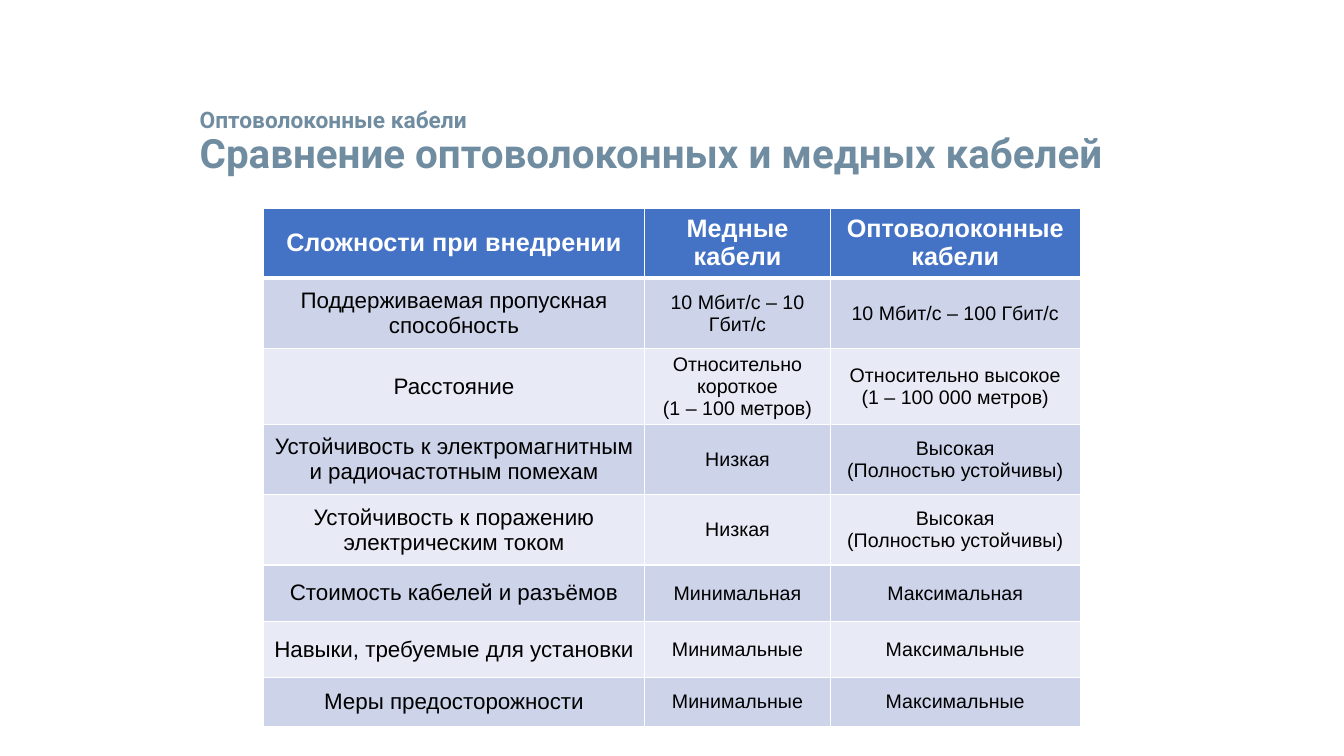
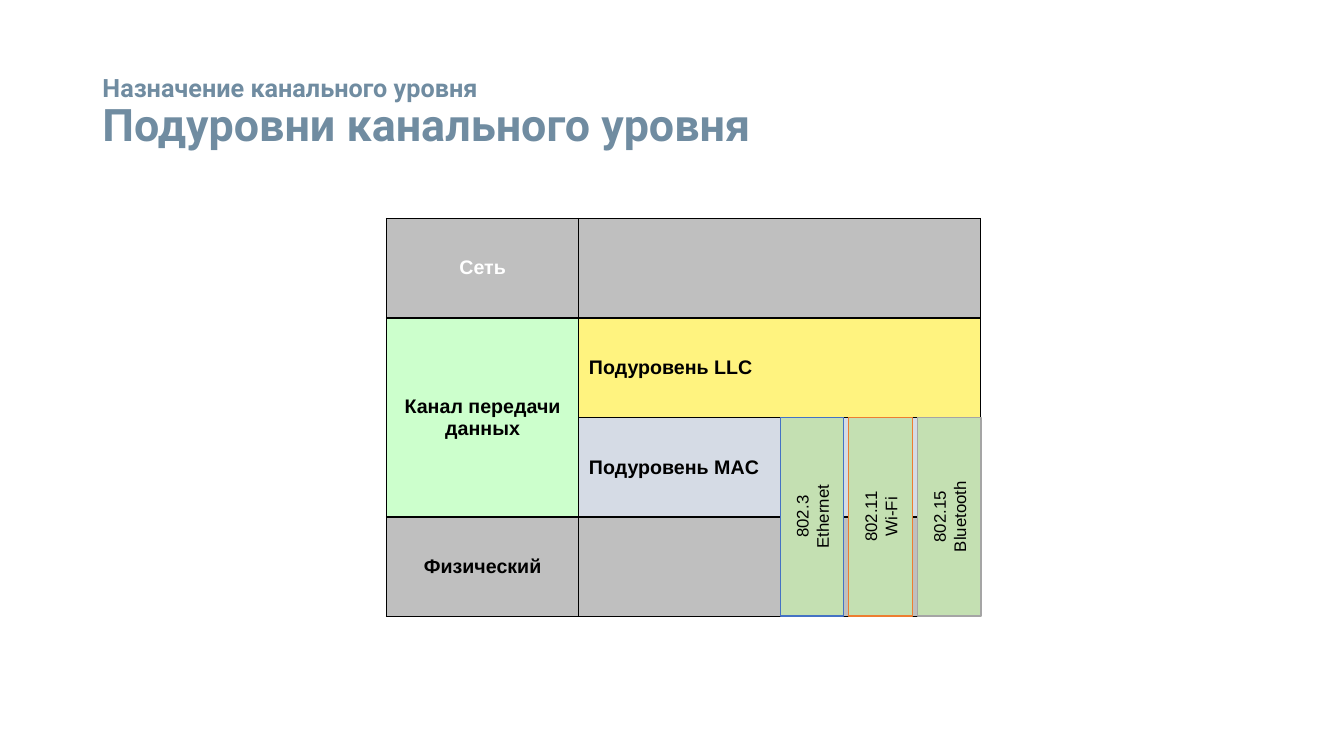
from pptx import Presentation
from pptx.dml.color import RGBColor
from pptx.enum.shapes import MSO_SHAPE
from pptx.enum.text import MSO_ANCHOR, MSO_AUTO_SIZE, PP_ALIGN
from pptx.oxml.ns import qn
from pptx.util import Pt
from lxml.etree import Element, SubElement


def color(code):
    """Turn a hex string into a colour."""
    return RGBColor.from_string(code)


class Deck:
    """Holds the style and the current slide."""

    BLACK, WHITE, GRAY = "000000", "FFFFFF", "BFBFBF"
    TITLE, HEAD, BANDS = "708CA1", "4472C4", ("E8EBF5", "CDD4EA")
    GREEN, YELLOW, BLUE, LEAF = "CCFFCC", "FFF37F", "D5DBE5", "C4E0B2"

    def __init__(self):
        """Start a wide presentation."""
        self.show = Presentation()
        self.show.slide_width, self.show.slide_height = Pt(960), Pt(540)

    def slide(self, topic, name, box, sizes):
        """Add a slide with a small topic line above its title."""
        self.page = self.show.slides.add_slide(self.show.slide_layouts[5])
        title = self.page.shapes.title
        title.left, title.top, title.width, title.height = map(Pt, box)
        frame = title.text_frame
        frame.auto_size = MSO_AUTO_SIZE.NONE
        frame.vertical_anchor = MSO_ANCHOR.MIDDLE
        para = frame.paragraphs[0]
        para.line_spacing = 0.9
        self.style(para, sizes[0], self.TITLE, True, PP_ALIGN.LEFT, "Roboto")
        para.add_run().text = topic
        para.add_line_break()
        run = para.add_run()
        run.text = name
        run.font.size = Pt(sizes[1])

    def style(self, para, size, ink, bold=False, align=PP_ALIGN.CENTER, face="Arial"):
        """Set the font and alignment of a paragraph."""
        para.alignment = align
        font = para.font
        font.name, font.size, font.bold = face, Pt(size), bold
        font.color.rgb = color(ink)

    def label(self, frame, text, size, ink, **look):
        """Fill a text frame, one paragraph a line."""
        frame.text = text
        for para in frame.paragraphs:
            self.style(para, size, ink, **look)

    def table(self, left, top, cols, rows):
        """Add a plain table and return it."""
        frame = self.page.shapes.add_table(
            len(rows), len(cols), Pt(left), Pt(top), Pt(sum(cols)), Pt(sum(rows)))
        grid = frame.table
        grid.first_row = grid.horz_banding = False
        for col, width in zip(grid.columns, cols):
            col.width = Pt(width)
        for row, height in zip(grid.rows, rows):
            row.height = Pt(height)
        return grid

    def cell(self, cell, fill, edge, above=1, below=1):
        """Fill a cell and draw its four borders."""
        cell.vertical_anchor = MSO_ANCHOR.MIDDLE
        cell.fill.solid()
        cell.fill.fore_color.rgb = color(fill)
        props = cell._tc.get_or_add_tcPr()
        sides = {"lnL": 1, "lnR": 1, "lnT": above, "lnB": below}
        for spot, (side, width) in enumerate(sides.items()):
            line = Element(qn("a:" + side), w=str(Pt(width)))
            solid = SubElement(line, qn("a:solidFill"))
            SubElement(solid, qn("a:srgbClr"), val=edge)
            props.insert(spot, line)

    def tag(self, mid, text, line):
        """Add an upright label centred on a point."""
        wide, high = 142, 45.5
        box = self.page.shapes.add_shape(
            MSO_SHAPE.RECTANGLE, Pt(mid[0] - wide / 2), Pt(mid[1] - high / 2),
            Pt(wide), Pt(high))
        box.rotation = 270
        box.shadow.inherit = False
        box.fill.solid()
        box.fill.fore_color.rgb = color(self.LEAF)
        box.line.color.rgb = color(line)
        box.line.width = Pt(0.75)
        box.text_frame.vertical_anchor = MSO_ANCHOR.MIDDLE
        self.label(box.text_frame, text, 12, self.BLACK)


def cables(deck):
    """Build the comparison of cables."""
    deck.slide("Оптоволоконные кабели", "Сравнение оптоволоконных и медных кабелей",
               (135.4, 69.3, 690.5, 66.2), (16.2, 28.8))
    safe = "Высокая\n(Полностью устойчивы)"
    rows = [
        ("Сложности при внедрении", "Медные кабели", "Оптоволоконные кабели"),
        ("Поддерживаемая пропускная способность", "10 Мбит/с – 10 Гбит/с",
         "10 Мбит/с – 100 Гбит/с"),
        ("Расстояние", "Относительно короткое\n(1 – 100 метров)",
         "Относительно высокое\n(1 – 100 000 метров)"),
        ("Устойчивость к электромагнитным и радиочастотным помехам", "Низкая", safe),
        ("Устойчивость к поражению электрическим током", "Низкая", safe),
        ("Стоимость кабелей и разъёмов", "Минимальная", "Максимальная"),
        ("Навыки, требуемые для установки", "Минимальные", "Максимальные"),
        ("Меры предосторожности", "Минимальные", "Максимальные"),
    ]
    grid = deck.table(188, 148.5, (272.6, 132.5, 178.6), [50.2] * 5 + [40.3, 40.3, 34.6])
    for r, row in enumerate(rows):
        head = r == 0
        fill = deck.HEAD if head else deck.BANDS[r % 2]
        for c, text in enumerate(row):
            cell = grid.cell(r, c)
            deck.cell(cell, fill, deck.WHITE, 3 if r == 1 else 1, 3 if head else 1)
            size = 18 if head else 14 if c else 16
            deck.label(cell.text_frame, text, size,
                       deck.WHITE if head else deck.BLACK, bold=head)


def layers(deck):
    """Build the diagram of sublayers."""
    deck.slide("Назначение канального уровня", "Подуровни канального уровня",
               (66, 28.8, 828, 104.4), (18, 32))
    rows = [
        (("Сеть", deck.GRAY), ("", deck.GRAY)),
        (("Канал передачи данных", deck.GREEN), ("Подуровень LLC", deck.YELLOW)),
        (("", deck.GREEN), ("Подуровень MAC", deck.BLUE)),
        (("Физический", deck.GRAY), ("", deck.GRAY)),
    ]
    grid = deck.table(276, 156, (137.5, 286.8), [71.1] * 4)
    grid.cell(1, 0).merge(grid.cell(2, 0))
    for r, row in enumerate(rows):
        for c, (text, fill) in enumerate(row):
            cell = grid.cell(r, c)
            deck.cell(cell, fill, deck.BLACK)
            if text:
                deck.label(cell.text_frame, text, 14,
                           deck.BLACK if r else deck.WHITE, bold=True,
                           align=PP_ALIGN.LEFT if c else PP_ALIGN.CENTER)
    tags = [("802.3\nEthernet", "4472C4"), ("802.11\nWi-Fi", "ED7D31"),
            ("802.15\nBluetooth", "A5A5A5")]
    for n, (text, line) in enumerate(tags):
        deck.tag((580 + 49 * n, 369), text, line)


def main():
    """Build and save the slides."""
    deck = Deck()
    cables(deck)
    layers(deck)
    deck.show.save("out.pptx")


if __name__ == "__main__":
    main()
